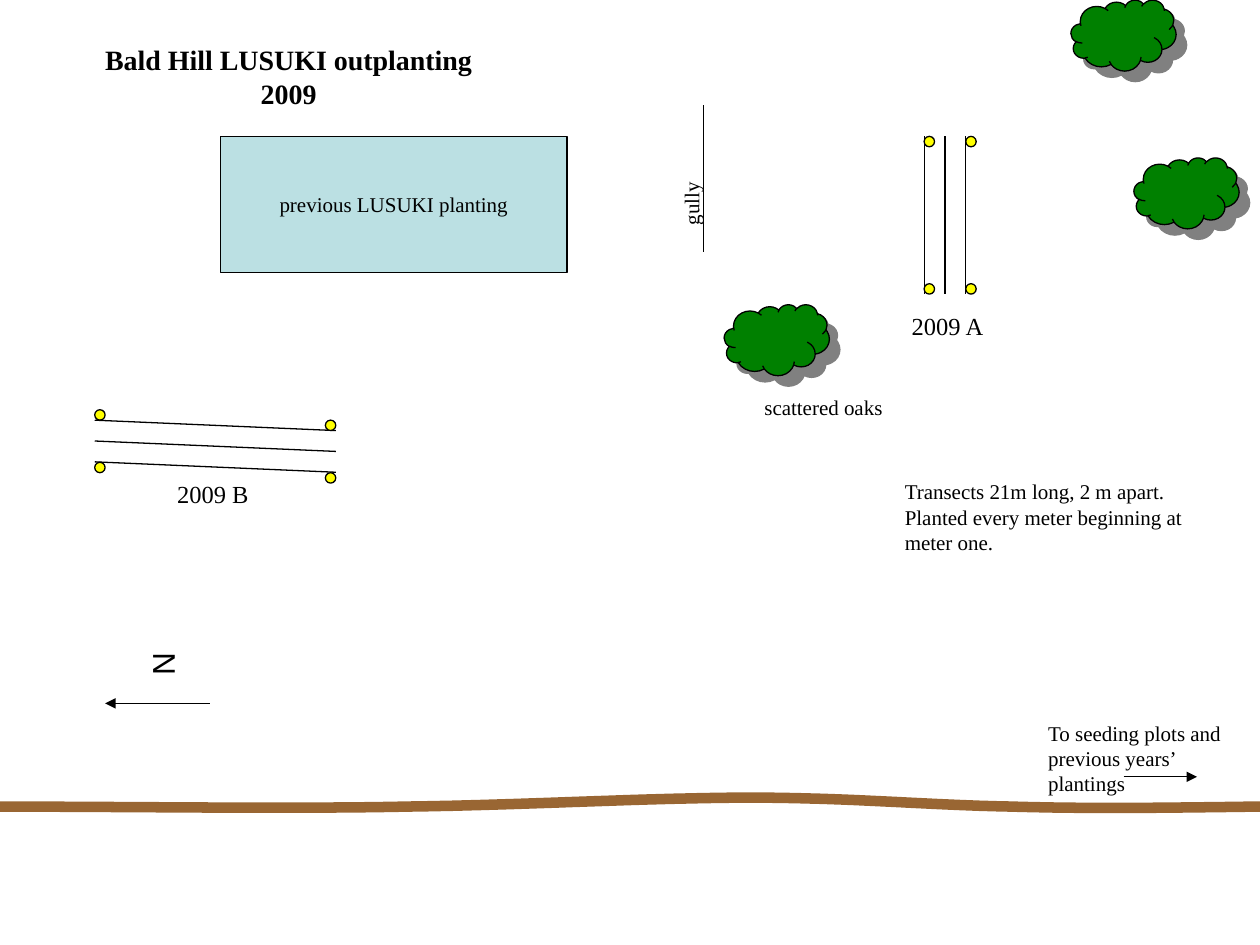
from lxml.etree import SubElement
from pptx import Presentation
from pptx.dml.color import RGBColor
from pptx.enum.shapes import MSO_CONNECTOR as Link, MSO_SHAPE as Preset
from pptx.enum.text import MSO_ANCHOR as Anchor, MSO_AUTO_SIZE as AutoSize, PP_ALIGN as Align
from pptx.oxml.ns import qn
from pptx.util import Cm, Pt

BLACK, YELLOW, OAK, ROAD, PLOT, SHADE = "000000", "FFFF00", "008000", "996633", "BBE0E3", "808080"


def color(value):
    return RGBColor.from_string(value)


class FieldMap:
    """Draws the elements of a planting map on one slide, with lengths in centimetres."""

    serif = "Times New Roman"
    thin = Pt(0.75)
    dot = 0.21

    def __init__(self, slide):
        self.slide = slide
        self.shapes = slide.shapes

    def add_words(self, frame, words, size, font=None, bold=False, align=Align.LEFT):
        paragraph = frame.paragraphs[0]
        paragraph.alignment = align
        run = paragraph.add_run()
        run.text = words
        run.font.name = font or self.serif
        run.font.size = Pt(size)
        run.font.bold = bold
        run.font.color.rgb = color(BLACK)

    def label(self, words, left, top, width, height, size=12, wrap=False, turn=0, **style):
        box = self.shapes.add_textbox(Cm(left), Cm(top), Cm(width), Cm(height))
        box.rotation = turn
        box.text_frame.word_wrap = wrap
        box.text_frame.auto_size = AutoSize.SHAPE_TO_FIT_TEXT
        self.add_words(box.text_frame, words, size, **style)

    def title(self, words, left, top, width, height):
        box = self.shapes.add_textbox(Cm(left), Cm(top), Cm(width), Cm(height))
        box.text_frame.word_wrap = True
        box.text_frame.vertical_anchor = Anchor.MIDDLE
        self.add_words(box.text_frame, words, 16, bold=True, align=Align.CENTER)

    def line(self, x1, y1, x2, y2, arrow=False):
        link = self.shapes.add_connector(Link.STRAIGHT, Cm(x1), Cm(y1), Cm(x2), Cm(y2))
        link.line.color.rgb = color(BLACK)
        link.line.width = self.thin
        properties = link._element.spPr
        if arrow:
            SubElement(properties.find(qn("a:ln")), qn("a:tailEnd"), type="triangle")
        SubElement(properties, qn("a:effectLst"))

    def shape(self, preset, left, top, width, height, fill):
        item = self.shapes.add_shape(preset, Cm(left), Cm(top), Cm(width), Cm(height))
        item.shadow.inherit = False
        item.fill.solid()
        item.fill.fore_color.rgb = color(fill)
        item.line.color.rgb = color(BLACK)
        item.line.width = self.thin
        return item

    def marker(self, left, top):
        self.shape(Preset.OVAL, left, top, self.dot, self.dot, YELLOW)

    def oak(self, left, top):
        tree = self.shape(Preset.CLOUD, left, top, 2.12, 1.43, OAK)
        effects = tree._element.spPr.find(qn("a:effectLst"))
        shadow = SubElement(effects, qn("a:outerShdw"), dist=str(Pt(8.5)), dir="2700000",
                            algn="ctr", rotWithShape="0")
        SubElement(shadow, qn("a:srgbClr"), val=SHADE)

    def plot(self, words, left, top, width, height):
        field = self.shape(Preset.RECTANGLE, left, top, width, height, PLOT)
        field.text_frame.word_wrap = False
        field.text_frame.vertical_anchor = Anchor.MIDDLE
        self.add_words(field.text_frame, words, 12, align=Align.CENTER)

    def road(self, start, bends, steps=24):
        points = []
        origin = start
        for bend in bends:
            knots = (origin, *bend)
            for step in range(1, steps + 1):
                t = step / steps
                weights = ((1 - t) ** 3, 3 * t * (1 - t) ** 2, 3 * t * t * (1 - t), t ** 3)
                points.append(tuple(Cm(sum(w * knot[axis] for w, knot in zip(weights, knots)))
                                    for axis in (0, 1)))
            origin = bend[-1]
        builder = self.shapes.build_freeform(Cm(start[0]), Cm(start[1]))
        builder.add_line_segments(points, close=False)
        track = builder.convert_to_shape()
        track.shadow.inherit = False
        track.fill.background()
        track.line.color.rgb = color(ROAD)
        track.line.width = Pt(6)


def main():
    deck = Presentation()
    deck.slide_width, deck.slide_height = Cm(25.4), Cm(19.05)
    site = FieldMap(deck.slides.add_slide(deck.slide_layouts[6]))
    gap = 0.42

    site.title("Bald Hill LUSUKI outplanting 2009", 1.27, 0.76, 9.1, 1.57)
    site.road((25.4, 16.26), [
        ((23.75, 16.28), (22.07, 16.31), (20.37, 16.26)),
        ((18.67, 16.23), (17.17, 16.08), (15.14, 16.08)),
        ((13.11, 16.08), (10.59, 16.23), (8.23, 16.26)),
        ((5.87, 16.31), (2.24, 16.26), (0, 16.26)),
    ])
    site.line(22.65, 15.66, 24.13, 15.66, arrow=True)
    site.label("To seeding plots and previous years’ plantings", 20.88, 14.4, 4.52, 1.78, wrap=True)

    for row in range(3):
        site.line(6.77, 8.68 + row * gap, 1.91, 8.47 + row * gap)
        site.line(18.63 + row * gap, 2.75, 18.63 + row * gap, 5.93)
    site.line(4.23, 14.18, 2.12, 14.18, arrow=True)
    site.label("N", 2.79, 12.88, 0.97, 1.02, size=18, turn=270, font="Arial")

    for side in (0, 1):
        for top in (2.75, 5.72):
            site.marker(18.63 + side * 2 * gap, top)
        for left, top in ((1.91, 8.26), (6.56, 8.47)):
            site.marker(left, top + side * 1.06)

    site.line(14.18, 2.12, 14.18, 5.08)
    site.label("gully", 13.18, 3.66, 1.5, 0.76, turn=270)
    site.plot("previous LUSUKI planting", 4.45, 2.75, 6.98, 2.75)
    site.label("scattered oaks", 15.16, 7.82, 3.38, 0.76)
    for left, top in ((14.6, 6.14), (22.86, 3.18), (21.59, 0)):
        site.oak(left, top)

    site.label("2009 A", 18.13, 6.14, 2.08, 0.86, size=14)
    site.label("2009 B", 3.32, 9.53, 2.06, 0.86, size=14)
    site.label("Transects 21m long, 2 m apart. Planted every meter beginning at meter one.",
               17.99, 9.53, 6.55, 1.78, wrap=True)
    deck.save("out.pptx")


if __name__ == "__main__":
    main()
